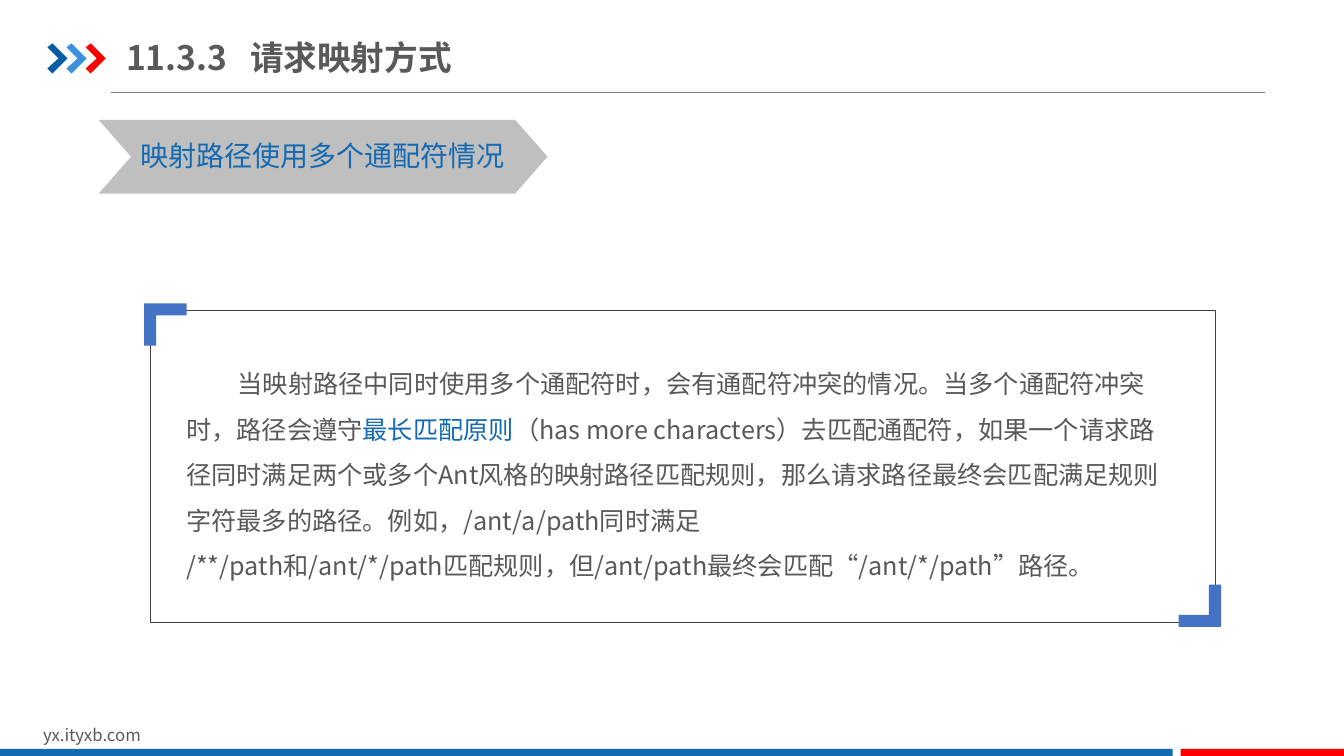
from dataclasses import dataclass

from lxml import etree
from pptx import Presentation
from pptx import util as u
from pptx.dml.color import RGBColor
from pptx.enum import shapes, text
from pptx.oxml.ns import qn


@dataclass(frozen=True)
class Theme:
    font: str = "Noto Sans CJK SC"
    ink: str = "595959"
    blue: str = "1369B2"
    deep: str = "005DA2"
    sky: str = "3992DB"
    red: str = "FF0000"
    bracket: str = "4472C4"
    banner: str = "BFBFBF"
    rule: str = "808080"
    frame: str = "404040"
    title: int = 24
    heading: int = 20
    body: int = 18
    footer: int = 12


T = Theme()


def rgb(color):
    return RGBColor.from_string(color)


def box(x, y, w, h):
    return [u.Inches(v) for v in (x, y, w, h)]


def paint(sp, fill=None, line=None, width=0.25):
    sp.shadow.inherit = False
    if fill:
        sp.fill.solid()
        sp.fill.fore_color.rgb = rgb(fill)
    else:
        sp.fill.background()
    if line:
        sp.line.color.rgb = rgb(line)
        sp.line.width = u.Pt(width)
    else:
        sp.line.fill.background()


def add_preset(s, kind, x, y, w, h, **look):
    sp = s.shapes.add_shape(kind, *box(x, y, w, h))
    paint(sp, **look)
    return sp


def add_outline(s, points, fill):
    corners = [(u.Inches(x), u.Inches(y)) for x, y in points]
    builder = s.shapes.build_freeform(*corners[0])
    builder.add_line_segments(corners[1:], close=True)
    paint(builder.convert_to_shape(), fill)


def style_run(r, size, color, bold=False):
    r.font.size = u.Pt(size)
    r.font.name = T.font
    r.font.bold = bold
    r.font.color.rgb = rgb(color)
    etree.SubElement(r.font._element, qn("a:ea"), typeface=T.font)


def add_label(s, x, y, w, h, runs, size):
    tf = s.shapes.add_textbox(*box(x, y, w, h)).text_frame
    tf.word_wrap = True
    p = tf.paragraphs[0]
    for words, color in runs:
        r = p.add_run()
        r.text = words
        style_run(r, size, color)
    return p


def add_header(s, x, y, w, h):
    line = s.shapes.add_connector(
        shapes.MSO_CONNECTOR.STRAIGHT, *box(x + 0.63, y + h, x + w, y + h))
    line.line.color.rgb = rgb(T.rule)
    line.line.width = u.Pt(0.5)
    etree.SubElement(line._element.spPr, qn("a:effectLst"))

    arrow = [(0, 0.04), (0.05, 0), (0.2, 0.15), (0.05, 0.3), (0, 0.25), (0.11, 0.15)]
    for i, color in enumerate((T.deep, T.sky, T.red)):
        left = x + i * 0.19
        add_outline(s, [(left + dx, y + 0.14 + dy) for dx, dy in arrow], color)

    title = s.shapes.title
    title.left, title.top, title.width, title.height = box(x + 0.78, y, 3.62, 0.55)
    tf = title.text_frame
    tf.auto_size = text.MSO_AUTO_SIZE.NONE
    tf.word_wrap = True
    tf.vertical_anchor = text.MSO_ANCHOR.MIDDLE
    tf.margin_left = tf.margin_right = 0
    tf.margin_top = tf.margin_bottom = u.Inches(0.07)
    tf.text = "11.3.3\t请求映射方式"
    p = tf.paragraphs[0]
    p.alignment = text.PP_ALIGN.LEFT
    tabs = etree.SubElement(p._p.get_or_add_pPr(), qn("a:tabLst"))
    etree.SubElement(tabs, qn("a:tab"), pos=str(u.Inches(1.23)), algn="l")
    for r in p.runs:
        style_run(r, T.title, T.ink, bold=True)


def add_banner(s, x, y, w, h):
    sp = add_preset(s, shapes.MSO_SHAPE.CHEVRON, x, y, w, h, fill=T.banner)
    sp.adjustments[0] = 0.438
    add_label(s, x + 0.31, y + 0.14, w - 0.43, 0.44,
              [("映射路径使用多个通配符情况", T.blue)], T.heading)


def add_bracket(s, x, y, direction):
    size, thick = 0.42, 0.12
    corner = [(0, 0), (size, 0), (size, thick), (thick, thick), (thick, size), (0, size)]
    add_outline(s, [(x + direction * dx, y + direction * dy) for dx, dy in corner],
                T.bracket)


def add_panel(s, x, y, w, h):
    p = add_label(s, x + 0.26, y + 0.38, w - 0.62, h - 0.73, [
        ("当映射路径中同时使用多个通配符时，会有通配符冲突的情况。"
         "当多个通配符冲突时，路径会遵守", T.ink),
        ("最长匹配原则", T.blue),
        ("（has more characters）去匹配通配符，如果一个请求路径同时满足两个或多个"
         "Ant风格的映射路径匹配规则，那么请求路径最终会匹配满足规则字符最多的路径。"
         "例如，/ant/a/path同时满足 /**/path和/ant/*/path匹配规则，"
         "但/ant/path最终会匹配“/ant/*/path”路径。", T.ink),
    ], T.body)
    p.line_spacing = 1.5
    p._p.get_or_add_pPr().set("indent", str(u.Inches(0.51)))
    add_preset(s, shapes.MSO_SHAPE.RECTANGLE, x, y, w, h, line=T.frame)
    add_bracket(s, x - 0.06, y - 0.07, 1)
    add_bracket(s, x + w + 0.06, y + h + 0.05, -1)


def add_footer(s, x, y, w, h):
    add_label(s, x + 0.33, y, 3.18, 0.3, [("yx.ityxb.com", T.ink)], T.footer)
    bar, gap, accent = 0.09, 0.08, 1.63
    top = y + h - bar
    add_preset(s, shapes.MSO_SHAPE.RECTANGLE, x, top, w - accent - gap, bar, fill=T.blue)
    add_preset(s, shapes.MSO_SHAPE.RECTANGLE, x + w - accent, top, accent, bar, fill=T.red)


def main():
    prs = Presentation()
    prs.slide_width, prs.slide_height = u.Inches(13.33), u.Inches(7.5)
    s = prs.slides.add_slide(prs.slide_layouts[5])
    add_header(s, 0.47, 0.29, 12.08, 0.63)
    add_footer(s, 0, 7.14, 13.34, 0.38)
    add_banner(s, 0.98, 1.19, 4.45, 0.73)
    add_panel(s, 1.49, 3.08, 10.56, 3.09)
    prs.save("out.pptx")


if __name__ == "__main__":
    main()
